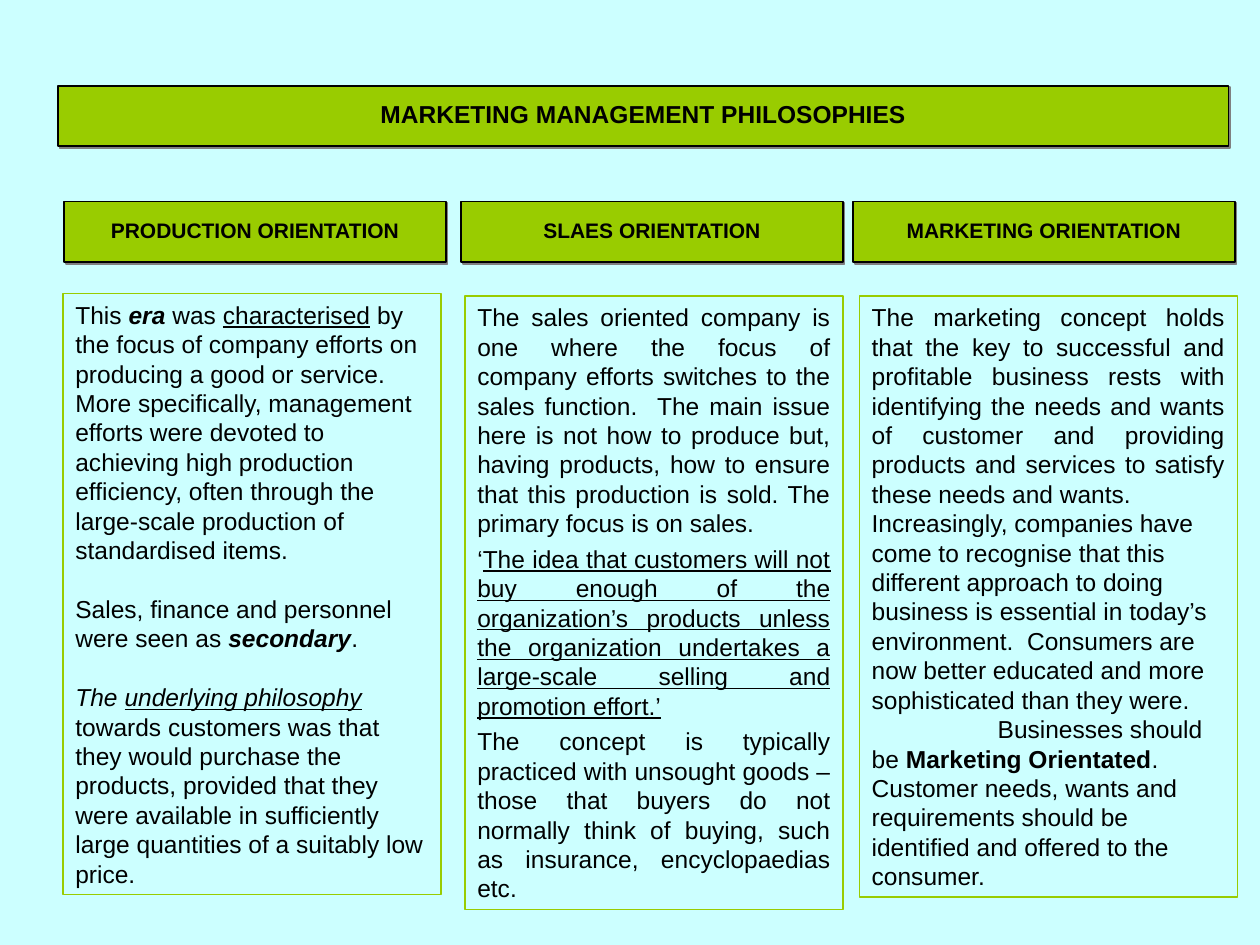
from lxml import etree
from pptx import Presentation
from pptx.dml.color import RGBColor
from pptx.enum.shapes import MSO_SHAPE
from pptx.enum.text import MSO_ANCHOR, MSO_AUTO_SIZE, PP_ALIGN
from pptx.oxml.ns import qn
from pptx.util import Inches, Pt

RECT = MSO_SHAPE.RECTANGLE
MIDDLE = MSO_ANCHOR.MIDDLE
FIXED = MSO_AUTO_SIZE.NONE
LEFT, CENTER, JUSTIFY = PP_ALIGN.LEFT, PP_ALIGN.CENTER, PP_ALIGN.JUSTIFY
GREEN, BLACK, GREY, PALE = "99CC00", "000000", "808080", "CCFFFF"
LINE = 16.8

HEADS = [
    (0.51, "PRODUCTION ORIENTATION"),
    (3.66, "SLAES ORIENTATION"),
    (6.77, "MARKETING ORIENTATION"),
]

COLUMNS = [
    ((0.5, 2.33, 3, 4.77), [
        (LEFT, 0, 0, [
            ("This ", ""), ("era", "bi"), (" was ", ""), ("characterised", "u"),
            (" by the focus of company efforts on producing a good or service.  "
             "More specifically, management efforts were devoted to achieving "
             "high production efficiency, often through the large-scale "
             "production of standardised items.", "")]),
        (LEFT, LINE, 0, [
            ("Sales, finance and personnel were seen as ", ""),
            ("secondary", "bi"), (".", "")]),
        (LEFT, LINE, 0, [
            ("The ", "i"), ("underlying philosophy", "iu"),
            (" towards customers was that they would purchase the products, "
             "provided that they were available in sufficiently large "
             "quantities of a suitably low price.", "")]),
    ]),
    ((3.69, 2.35, 3, 4.87), [
        (JUSTIFY, 0, 0, [
            ("The sales oriented company is one where the focus of company "
             "efforts switches to the sales function.  The main issue here is "
             "not how to produce but, having products, how to ensure that this "
             "production is sold. The primary focus is on sales.", "")]),
        (JUSTIFY, 3.5, 0, [
            ("‘", ""),
            ("The idea that customers will not buy enough of the organization’s "
             "products unless the organization undertakes a large-scale selling "
             "and promotion effort.’", "u")]),
        (JUSTIFY, 3.5, 0, [
            ("The concept is typically practiced with unsought goods – those "
             "that buyers do not normally think of buying, such as insurance, "
             "encyclopaedias etc.", "")]),
    ]),
    ((6.82, 2.35, 3, 4.77), [
        (JUSTIFY, 0, 0, [
            ("The marketing concept holds that the key to successful and "
             "profitable business rests with identifying the needs and wants of "
             "customer and providing products and services to satisfy these "
             "needs and wants.", "")]),
        (LEFT, 0, 0, [
            ("Increasingly, companies have come to recognise that this different "
             "approach to doing business is essential in today’s environment.  "
             "Consumers are now better educated and more sophisticated than "
             "they were.", "")]),
        (LEFT, 0, 1, [
            ("Businesses should be ", ""), ("Marketing Orientated", "b"),
            (".  Customer needs, wants and requirements should be identified "
             "and offered to the consumer.", "")]),
    ]),
]


def color(code):
    return RGBColor.from_string(code)


def add_run(para, text, size, style):
    run = para.add_run()
    run.text = text
    font = run.font
    font.name = "Arial"
    font.size = Pt(size)
    font.color.rgb = color(BLACK)
    font.bold = "b" in style
    font.italic = "i" in style
    font.underline = "u" in style


def edge(shape, code, width):
    shape.line.color.rgb = color(code)
    shape.line.width = Pt(width)


def cast_shade(shape):
    shape.shadow.inherit = False
    effects = shape._element.spPr.find(qn("a:effectLst"))
    shade = etree.SubElement(effects, qn("a:outerShdw"), dist=str(Pt(1.4)),
                             dir="2700000", algn="ctr", rotWithShape="0")
    etree.SubElement(shade, qn("a:srgbClr"), val=GREY)


def style_bar(shape, text, size):
    shape.fill.solid()
    shape.fill.fore_color.rgb = color(GREEN)
    edge(shape, BLACK, 1)
    cast_shade(shape)
    frame = shape.text_frame
    frame.auto_size = FIXED
    frame.word_wrap = True
    frame.vertical_anchor = MIDDLE
    para = frame.paragraphs[0]
    para.alignment = CENTER
    para.line_spacing = 0.9
    add_run(para, text, size, "b")


def add_title(slide, box):
    title = slide.shapes.title
    title.left, title.top, title.width, title.height = map(Inches, box)
    style_bar(title, "MARKETING MANAGEMENT PHILOSOPHIES", 14)


def add_head(slide, box, text):
    style_bar(slide.shapes.add_shape(RECT, *map(Inches, box)), text, 12)


def add_column(slide, box, paras):
    shape = slide.shapes.add_textbox(*map(Inches, box))
    edge(shape, GREEN, 0.75)
    frame = shape.text_frame
    frame.word_wrap = True
    for i, (align, gap, indent, runs) in enumerate(paras):
        para = frame.add_paragraph() if i else frame.paragraphs[0]
        para.alignment = align
        para.line_spacing = Pt(LINE)
        if gap:
            para.space_before = Pt(gap)
        if indent:
            para._p.get_or_add_pPr().set("indent", str(Inches(indent)))
        for text, style in runs:
            add_run(para, text, 14, style)


def main():
    deck = Presentation()
    deck.slide_width, deck.slide_height = Inches(10), Inches(7.5)
    slide = deck.slides.add_slide(deck.slide_layouts.get_by_name("Title Only"))
    back = slide.background.fill
    back.solid()
    back.fore_color.rgb = color(PALE)
    add_title(slide, (0.46, 0.68, 9.29, 0.48))
    for left, text in HEADS:
        add_head(slide, (left, 1.6, 3.03, 0.48), text)
    for box, paras in COLUMNS:
        add_column(slide, box, paras)
    deck.save("out.pptx")


if __name__ == "__main__":
    main()
